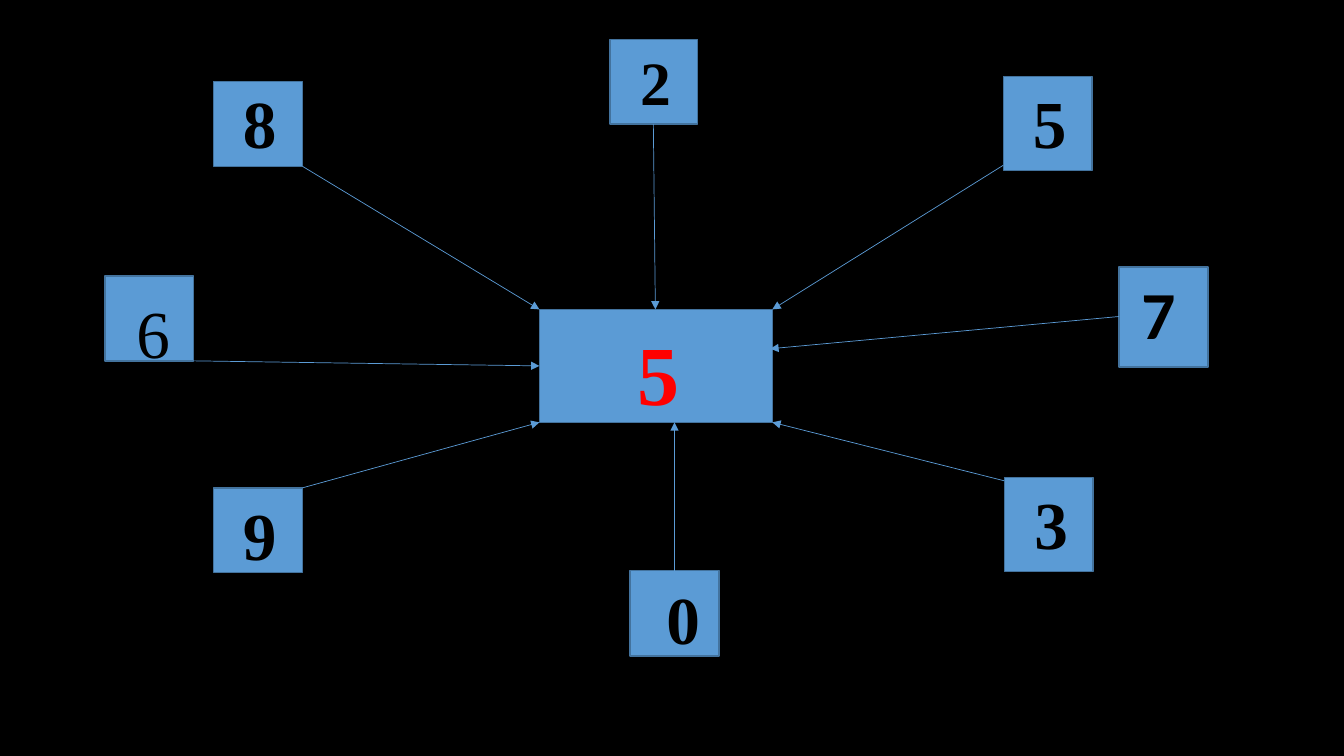
from collections import namedtuple

from lxml import etree
from pptx import Presentation
from pptx.dml.color import RGBColor
from pptx.enum.shapes import MSO_CONNECTOR, MSO_SHAPE
from pptx.enum.text import MSO_AUTO_SIZE, PP_ALIGN
from pptx.oxml.ns import qn
from pptx.util import Pt

PX = 9144  # EMU; 100 px to the inch
SLIDE_SIZE = (1333, 750)

BLACK = RGBColor(0x00, 0x00, 0x00)
RED = RGBColor(0xFF, 0x00, 0x00)
BLUE = RGBColor(0x5B, 0x9B, 0xD5)
DARK_BLUE = RGBColor(0x43, 0x73, 0x9E)

RECTANGLE = MSO_SHAPE.RECTANGLE
STRAIGHT = MSO_CONNECTOR.STRAIGHT
FIT_TEXT = MSO_AUTO_SIZE.SHAPE_TO_FIT_TEXT
LEFT, CENTER = PP_ALIGN.LEFT, PP_ALIGN.CENTER

SERIF = "Times New Roman"
DIGIT_FORMAT = {"name": SERIF, "size": Pt(48), "bold": True}
HUB_FORMAT = {"name": SERIF, "size": Pt(60), "bold": True}

HUB_BOX = (535, 307, 231, 112)
HUB_LABEL = (70, 7, 129, 111)  # relative to the hub
HUB_INSET = 27

# Label boxes are relative to their tile; arrow ends are fractions of tile and hub.
Digit = namedtuple("Digit", "text tile label arrow_start arrow_end changes")
DIGITS = [
    Digit("2", (605, 39, 87, 84), (20, 0, 44, 84), (0.5, 1), (0.5, 0), {"size": Pt(44)}),
    Digit("5", (995, 76, 88, 93), (3, 0, 86, 91), (0, 0.95), (1, 0), {}),
    Digit("7", (1110, 265, 88, 99), (4, 0, 70, 91), (0, 0.5), (0.99, 0.35), {"name": "Calibri"}),
    Digit("3", (996, 474, 88, 93), (20, 0, 40, 91), (0, 0.03), (1, 1), {}),
    Digit("0", (625, 566, 88, 85), (26, 2, 41, 91), (0.5, 0), (0.58, 1), {}),
    Digit("9", (212, 484, 88, 84), (19, 0, 42, 91), (1, 0), (0, 1), {}),
    Digit("6", (104, 274, 88, 84), (18, 10, 60, 91), (1, 1), (0, 0.5), {"bold": False}),
    Digit("8", (212, 81, 88, 84), (19, -5, 48, 91), (1, 1), (0, 0), {}),
]


def emu(lengths):
    return [round(length) * PX for length in lengths]


def point_on(box, fraction):
    left, top, width, height = box
    return left + width * fraction[0], top + height * fraction[1]


def add_tile(slide, box):
    tile = slide.shapes.add_shape(RECTANGLE, *emu(box))
    tile.shadow.inherit = False
    tile.fill.solid()
    tile.fill.fore_color.rgb = BLUE
    tile.line.color.rgb = DARK_BLUE
    tile.line.width = Pt(1)


def add_arrow(slide, start, end):
    arrow = slide.shapes.add_connector(STRAIGHT, *emu(start + end))
    arrow.line.color.rgb = BLUE
    arrow.line.width = Pt(0.5)
    etree.SubElement(arrow.line._get_or_add_ln(), qn("a:tailEnd"), type="triangle")
    etree.SubElement(arrow._element.spPr, qn("a:effectLst"))


def add_label(slide, parent, offset, text, font_format, color, alignment=CENTER, inset=10):
    """Write text in a box whose offset is measured from its parent box."""
    box = (parent[0] + offset[0], parent[1] + offset[1], *offset[2:])
    frame = slide.shapes.add_textbox(*emu(box)).text_frame
    frame.word_wrap = True
    frame.auto_size = FIT_TEXT
    frame.margin_left = inset * PX
    paragraph = frame.paragraphs[0]
    paragraph.alignment = alignment
    run = paragraph.add_run()
    run.text = text
    for attribute, value in font_format.items():
        setattr(run.font, attribute, value)
    run.font.color.rgb = color


def add_hub(slide, box):
    add_tile(slide, box)
    add_label(slide, box, HUB_LABEL, "5", HUB_FORMAT, RED, LEFT, HUB_INSET)


def add_digit(slide, digit, hub_box):
    """Place a digit's tile, its label and its arrow to the hub."""
    add_tile(slide, digit.tile)
    add_arrow(slide, point_on(digit.tile, digit.arrow_start),
              point_on(hub_box, digit.arrow_end))
    add_label(slide, digit.tile, digit.label, digit.text,
              DIGIT_FORMAT | digit.changes, BLACK)


def main():
    presentation = Presentation()
    presentation.slide_width, presentation.slide_height = emu(SLIDE_SIZE)
    slide = presentation.slides.add_slide(presentation.slide_layouts[6])
    slide.background.fill.solid()
    slide.background.fill.fore_color.rgb = BLACK
    add_hub(slide, HUB_BOX)
    for digit in DIGITS:
        add_digit(slide, digit, HUB_BOX)
    presentation.save("out.pptx")


if __name__ == "__main__":
    main()
